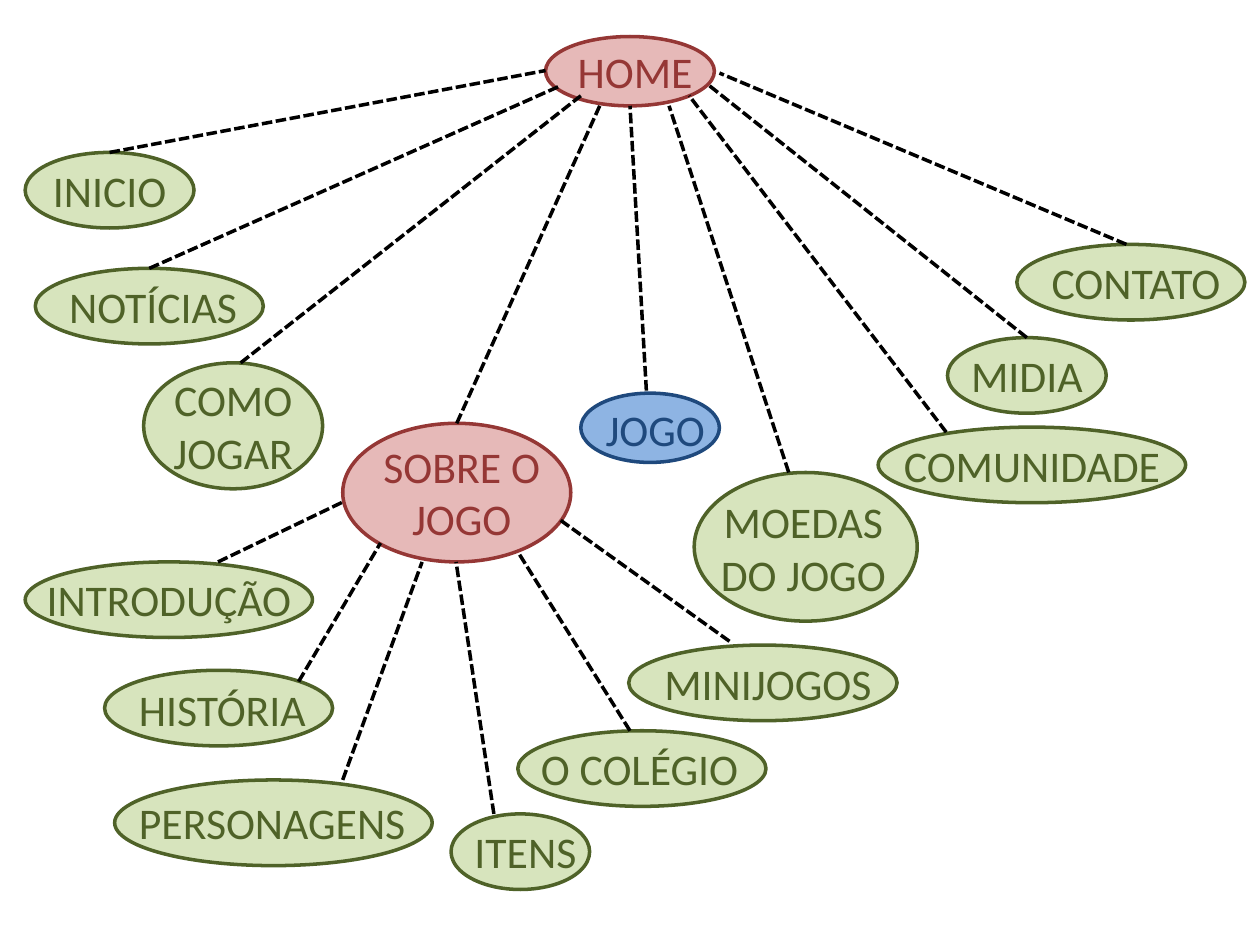
from pptx import Presentation
from pptx import util as u
from pptx.dml.color import RGBColor
from pptx.enum import dml, shapes, text
from pptx.oxml.ns import qn
from lxml import etree

PX = u.Inches(1) // 100
RED = ("E6B9B8", "953735")
GREEN = ("D7E4BD", "4F6228")
BLUE = ("8EB4E3", "1F497D")

# label, colours, ellipse (left, top, width, height), text (left, top, width, height)
NODES = [
    ("HOME", RED, (433, 29, 134, 55), (433, 31, 142, 52)),
    ("SOBRE O JOGO", RED, (272, 336, 181, 110), (280, 344, 173, 94)),
    ("COMO JOGAR", GREEN, (114, 288, 142, 100), (114, 291, 142, 94)),
    ("JOGO", BLUE, (461, 312, 110, 55), (469, 315, 102, 52)),
    ("NOTÍCIAS", GREEN, (28, 213, 181, 60), (35, 217, 173, 52)),
    ("MOEDAS DO JOGO", GREEN, (551, 375, 177, 118), (555, 388, 165, 94)),
    ("HISTÓRIA", GREEN, (83, 532, 181, 60), (90, 537, 173, 52)),
    ("COMUNIDADE", GREEN, (697, 339, 244, 60), (697, 343, 244, 52)),
    ("MIDIA", GREEN, (752, 268, 126, 60), (760, 272, 110, 52)),
    ("CONTATO", GREEN, (807, 194, 181, 60), (815, 198, 173, 52)),
    ("INTRODUÇÃO", GREEN, (20, 446, 228, 60), (20, 450, 228, 52)),
    ("PERSONAGENS", GREEN, (91, 619, 252, 68), (98, 627, 236, 52)),
    ("MINIJOGOS", GREEN, (499, 512, 213, 60), (506, 516, 207, 52)),
    ("O COLÉGIO", GREEN, (411, 580, 197, 60), (413, 584, 189, 52)),
    ("ITENS", GREEN, (358, 646, 110, 60), (350, 650, 134, 52)),
    ("INICIO", GREEN, (20, 121, 134, 60), (28, 125, 118, 52)),
]

# child end, parent end
LINKS = [
    ((173, 446), (273, 398)),
    ((237, 541), (302, 431)),
    ((272, 619), (335, 446)),
    ((579, 509), (445, 413)),
    ((500, 580), (411, 438)),
    ((894, 194), (571, 58)),
    ((191, 288), (461, 76)),
    ((626, 375), (531, 84)),
    ((751, 343), (547, 76)),
    ((513, 310), (500, 84)),
    ((392, 646), (362, 446)),
]

# child joined at its top, parent end
TOP_LINKS = [
    ("NOTÍCIAS", (445, 68)),
    ("SOBRE O JOGO", (476, 84)),
    ("MIDIA", (563, 68)),
    ("INICIO", (433, 56)),
]


def px(*values):
    """Turn px lengths into EMU."""
    return [v * PX for v in values]


def rgb(value):
    """Return the colour of a hex string."""
    return RGBColor.from_string(value)


def add_ellipse(s, box, colours):
    """Add a filled and outlined ellipse."""
    sp = s.shapes.add_shape(shapes.MSO_SHAPE.OVAL, *px(*box))
    sp.shadow.inherit = False
    sp.fill.solid()
    sp.fill.fore_color.rgb = rgb(colours[0])
    sp.line.color.rgb = rgb(colours[1])
    sp.line.width = u.Pt(2)
    return sp


def add_label(s, label, box, color):
    """Add a centred label."""
    tf = s.shapes.add_textbox(*px(*box)).text_frame
    tf.word_wrap = True
    tf.auto_size = text.MSO_AUTO_SIZE.SHAPE_TO_FIT_TEXT
    tf.text = label
    p = tf.paragraphs[0]
    p.alignment = text.PP_ALIGN.CENTER
    font = p.runs[0].font
    font.name = "Calibri"
    font.size = u.Pt(25)
    font.color.rgb = rgb(color)


def add_link(s, start, end):
    """Add a dashed straight connector."""
    c = s.shapes.add_connector(shapes.MSO_CONNECTOR.STRAIGHT, *px(*start, *end))
    c.line.color.rgb = rgb("000000")
    c.line.width = u.Pt(2)
    c.line.dash_style = dml.MSO_LINE.SQUARE_DOT
    etree.SubElement(c._element.spPr, qn("a:effectLst"))
    return c


def main():
    """Build the site map slide."""
    prs = Presentation()
    prs.slide_width, prs.slide_height = px(1000, 750)
    s = prs.slides.add_slide(prs.slide_layouts[6])
    ellipses = {}
    for label, colours, box, label_box in NODES:
        ellipses[label] = add_ellipse(s, box, colours)
        add_label(s, label, label_box, colours[1])
    for start, end in LINKS:
        add_link(s, start, end)
    for child, end in TOP_LINKS:
        add_link(s, (0, 0), end).begin_connect(ellipses[child], 0)
    prs.save("out.pptx")


if __name__ == "__main__":
    main()
